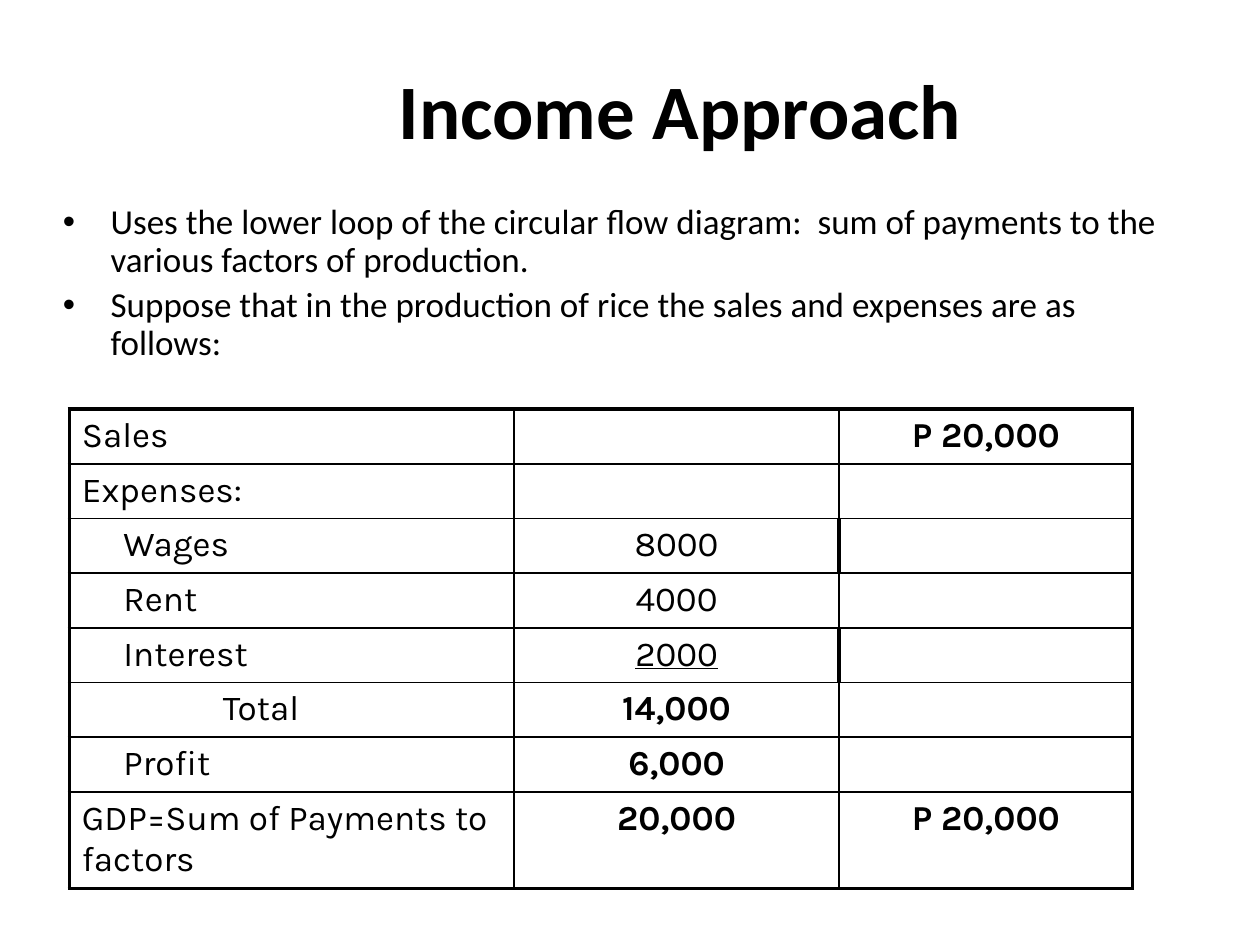
from lxml import etree
from pptx import Presentation
from pptx.dml.color import RGBColor
from pptx.enum.text import MSO_ANCHOR, PP_ALIGN
from pptx.oxml.ns import qn
from pptx.util import Inches, Pt

BLACK = RGBColor(0, 0, 0)
LEFT, CENTER = PP_ALIGN.LEFT, PP_ALIGN.CENTER
MIDDLE, TOP = MSO_ANCHOR.MIDDLE, MSO_ANCHOR.TOP
WIDE, HIGH = Inches(10), Inches(7.5)
THIN, THICK = 1, 2.25
PAD, HANG = 0.1, 0.38

TITLE = {"name": "Calibri", "size": Pt(44), "bold": True}
BODY = {"name": "Calibri", "size": Pt(20)}
CELL = {"name": "Karla", "size": Pt(20)}
BOLD = CELL | {"bold": True}
UNDER = CELL | {"underline": True}

POINTS = [
    "Uses the lower loop of the circular flow diagram:  sum of payments "
    "to the various factors of production.",
    "Suppose that in the production of rice the sales and expenses are as follows:",
]
# label, label indent in inches, amount, amount format, result
ROWS = [
    ("Sales", 0, "", CELL, "P 20,000"),
    ("Expenses:", 0, "", CELL, ""),
    ("Wages", 0.33, "8000", CELL, ""),
    ("Rent", 0.33, "4000", CELL, ""),
    ("Interest", 0.33, "2000", UNDER, ""),
    ("Total", 1.12, "14,000", BOLD, ""),
    ("Profit", 0.33, "6,000", BOLD, ""),
    ("GDP=Sum of Payments to factors", 0, "20,000", BOLD, "P 20,000"),
]
COLS = (3.53, 2.58, 2.33)
HEAVY = ("Wages", "Interest")  # rows with a thick line before the result


def place(box):
    """Turn shares of the slide into lengths."""
    x, y, w, h = box
    return int(x * WIDE), int(y * HIGH), int(w * WIDE), int(h * HIGH)


def write(para, text, form, align=LEFT):
    para.alignment = align
    run = para.add_run()
    run.text = text
    for key, value in form.items():
        setattr(run.font, key, value)
    run.font.color.rgb = BLACK


def add_frame(slide, box, anchor):
    frame = slide.shapes.add_textbox(*place(box)).text_frame
    frame.word_wrap = True
    frame.vertical_anchor = anchor
    return frame


def add_title(slide, box):
    frame = add_frame(slide, box, MIDDLE)
    write(frame.paragraphs[0], "Income Approach", TITLE, CENTER)


def add_points(slide, box):
    frame = add_frame(slide, box, TOP)
    for i, text in enumerate(POINTS):
        para = frame.add_paragraph() if i else frame.paragraphs[0]
        para.line_spacing = 0.9
        para.space_before = Pt(4)
        write(para, text, BODY)
        # Bullet with a hanging indent
        props = para._p.get_or_add_pPr()
        props.set("marL", str(Inches(HANG)))
        props.set("indent", str(-Inches(HANG)))
        etree.SubElement(props, qn("a:buFont"), typeface="Arial")
        etree.SubElement(props, qn("a:buChar"), char="•")


def set_edges(cell, widths):
    cell.fill.background()
    props = cell._tc.get_or_add_tcPr()
    for i, (side, width) in enumerate(zip("LRTB", widths)):
        line = etree.Element(qn(f"a:ln{side}"), w=str(Pt(width)))
        fill = etree.SubElement(line, qn("a:solidFill"))
        etree.SubElement(fill, qn("a:srgbClr"), val=str(BLACK))
        props.insert(i, line)


def add_sums(slide, box):
    count = len(ROWS)
    table = slide.shapes.add_table(count, len(COLS), *place(box)).table
    table.first_row = table.horz_banding = False
    for col, width in zip(table.columns, COLS):
        col.width = Inches(width)

    for r, (label, indent, amount, form, result) in enumerate(ROWS):
        mid = THICK if label in HEAVY else THIN
        rules = (THICK, THIN, mid, THICK)
        top = THIN if r else THICK
        low = THICK if r == count - 1 else THIN
        parts = ((label, CELL, LEFT), (amount, form, CENTER), (result, BOLD, CENTER))
        for c, (text, look, align) in enumerate(parts):
            cell = table.cell(r, c)
            set_edges(cell, (rules[c], rules[c + 1], top, low))
            if text:
                write(cell.text_frame.paragraphs[0], text, look, align)
        table.cell(r, 0).margin_left = Inches(PAD + indent)


def main():
    deck = Presentation()
    deck.slide_width, deck.slide_height = WIDE, HIGH
    slide = deck.slides.add_slide(deck.slide_layouts[6])
    add_title(slide, (0.18, 0.05, 0.72, 0.13))
    add_points(slide, (0.04, 0.21, 0.9, 0.27))
    add_sums(slide, (0.055, 0.433, 0.844, 0.384))
    deck.save("out.pptx")


if __name__ == "__main__":
    main()
